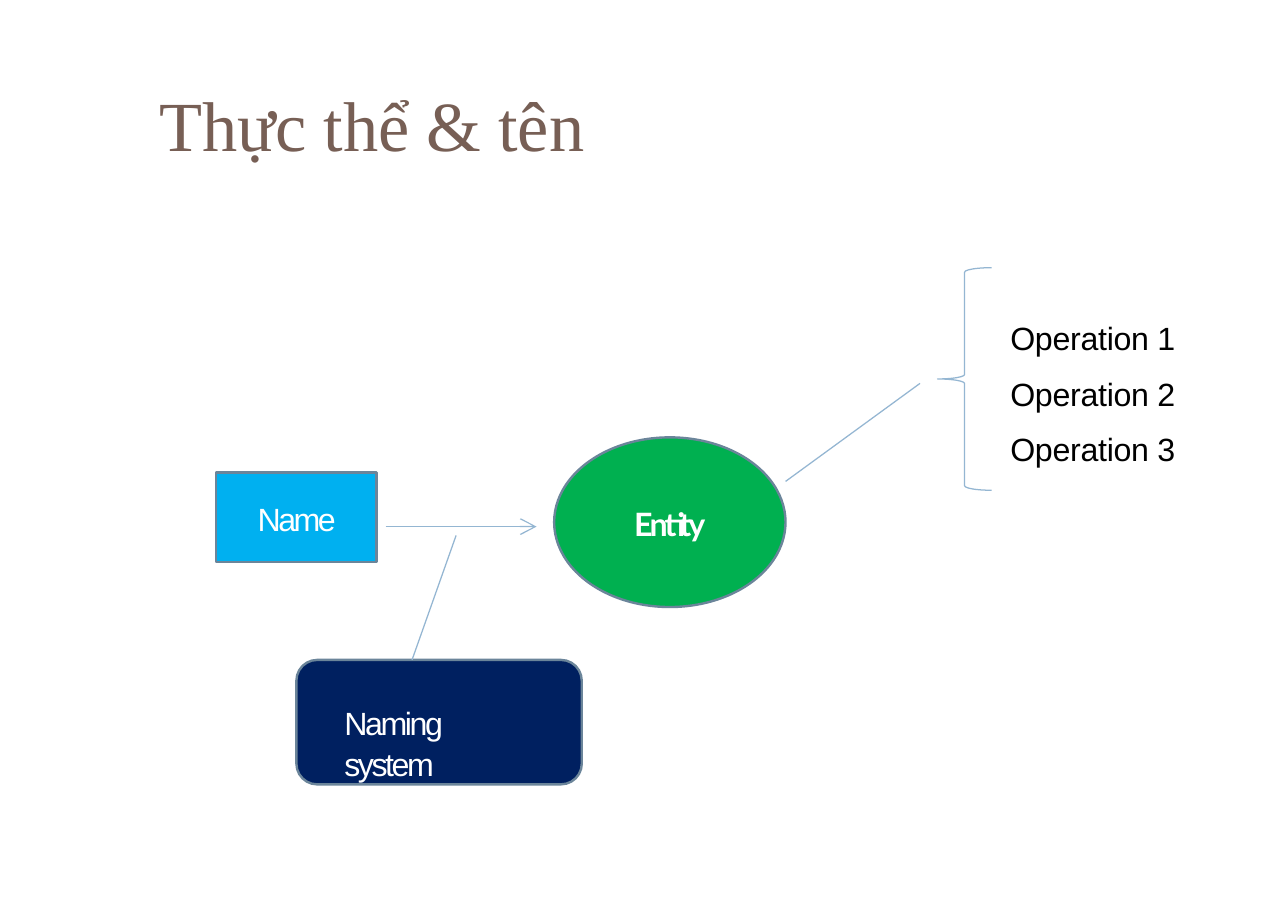
from pptx import Presentation
from pptx.dml.color import RGBColor
from pptx.enum.shapes import MSO_CONNECTOR, MSO_SHAPE
from pptx.enum.text import MSO_ANCHOR, PP_ALIGN
from pptx.oxml.ns import qn
from pptx.util import Inches, Pt
from lxml.etree import SubElement


def color(hex_code):
    return RGBColor.from_string(hex_code)


class NamingSlide:
    """Draws the parts of the entity and name diagram in one style."""

    LINK = "94B6D2"
    OUTLINE = "6B859A"

    def __init__(self, deck):
        self.slide = deck.slides.add_slide(deck.slide_layouts[6])

    def caption(self, shape, lines, size=21, font="Arial", ink="FFFFFF", bold=False,
                tracking=0, gap=0, insets=(0, 0, 0, 0), centred=False):
        frame = shape.text_frame
        frame.word_wrap = True
        frame.vertical_anchor = MSO_ANCHOR.MIDDLE if centred else MSO_ANCHOR.TOP
        (frame.margin_left, frame.margin_top,
         frame.margin_right, frame.margin_bottom) = map(Inches, insets)
        for index, runs in enumerate(lines):
            paragraph = frame.add_paragraph() if index else frame.paragraphs[0]
            paragraph.alignment = PP_ALIGN.CENTER if centred else PP_ALIGN.LEFT
            paragraph.line_spacing = 1.06
            paragraph.space_before = Pt(gap if index else 0)
            for words in runs:
                run = paragraph.add_run()
                run.text = words
                run.font.size = Pt(size)
                run.font.name = font
                run.font.bold = bold
                run.font.color.rgb = color(ink)
                run.font._element.set("spc", str(round(tracking * 100)))

    def label(self, box, lines, **style):
        self.caption(self.slide.shapes.add_textbox(*map(Inches, box)), lines, **style)

    def node(self, kind, box, fill=None, outline=OUTLINE, weight=1.55):
        shape = self.slide.shapes.add_shape(kind, *map(Inches, box))
        shape.shadow.inherit = False
        if fill:
            shape.fill.solid()
            shape.fill.fore_color.rgb = color(fill)
        else:
            shape.fill.background()
        shape.line.color.rgb = color(outline)
        shape.line.width = Pt(weight)
        return shape

    def link(self, start, end, arrow=False):
        connector = self.slide.shapes.add_connector(
            MSO_CONNECTOR.STRAIGHT, *map(Inches, start + end))
        connector.line.color.rgb = color(self.LINK)
        connector.line.width = Pt(0.81)
        properties = connector._element.spPr
        if arrow:
            SubElement(properties.find(qn("a:ln")), qn("a:tailEnd"),
                       type="arrow", w="lg", len="lg")
        SubElement(properties, qn("a:effectLst"))


def main():
    deck = Presentation()
    deck.slide_width, deck.slide_height = Inches(11.69), Inches(8.26)
    diagram = NamingSlide(deck)

    diagram.label((1.45, 0.69, 4.5, 0.8), [["Thực thể & tên"]], size=46,
                  font="Times New Roman", ink="775F55", tracking=-0.1)

    entity = diagram.node(MSO_SHAPE.OVAL, (5.03, 3.97, 2.1, 1.54), "00B050")
    diagram.caption(entity, [["Entity"]], font="Lato", bold=True, tracking=-1.8, centred=True)

    diagram.link((7.13, 4.37), (8.35, 3.48))
    diagram.node(MSO_SHAPE.LEFT_BRACE, (8.51, 2.43, 0.49, 2.02),
                 outline=diagram.LINK, weight=0.81)
    operations = [["Operation ", str(number)] for number in range(1, 4)]
    diagram.label((9.17, 2.87, 1.8, 1.33), operations, ink="000000", tracking=-0.2, gap=9.7)

    name = diagram.node(MSO_SHAPE.RECTANGLE, (1.96, 4.29, 1.46, 0.81), "00B0F0")
    diagram.caption(name, [["Name"]], tracking=-1.7, insets=(0.38, 0.22, 0, 0))
    diagram.link((3.5, 4.78), (4.87, 4.78), arrow=True)

    naming_system = diagram.node(MSO_SHAPE.ROUNDED_RECTANGLE, (2.69, 5.99, 2.59, 1.13), "002060")
    diagram.caption(naming_system, [["Naming ", "system"]], tracking=-1.6,
                    insets=(0.38, 0.32, 0.6, 0))
    diagram.link((3.74, 5.99), (4.14, 4.86))

    deck.save("out.pptx")


if __name__ == "__main__":
    main()
